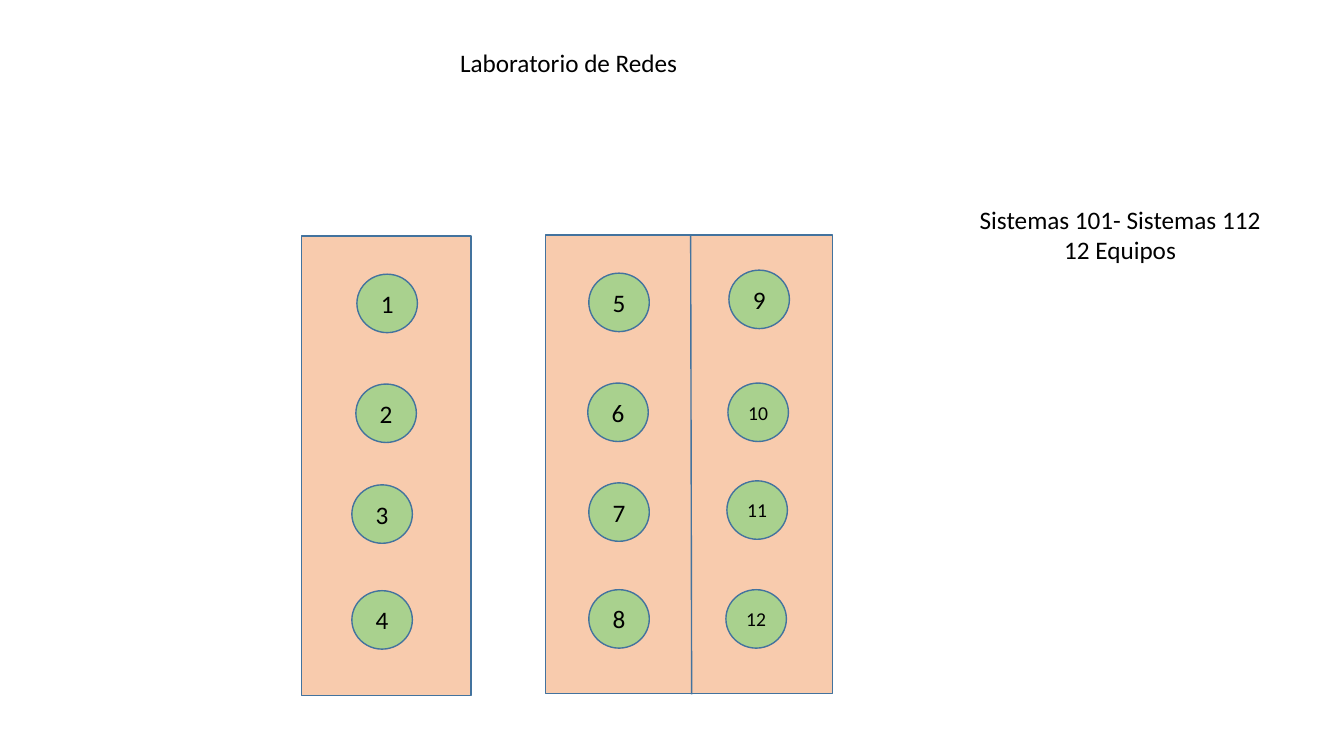
from pptx import Presentation
from pptx.dml.color import RGBColor
from pptx.enum import shapes, text
from pptx.oxml.ns import qn
from pptx.util import Inches, Pt
from lxml import etree

TITLE = "Laboratorio de Redes"
SUMMARY = ["Sistemas 101- Sistemas 112", "12 Equipos"]

# Left, top, width, height of each table in the room
TABLES = [(2.99, 2.34, 1.68, 4.56), (5.41, 2.33, 2.85, 4.55)]
DIVIDER = (6.85, 2.34, 6.86, 6.89)

# Left and top of each computer, numbered in order, one row per column of seats
SEATS = [
    [(3.54, 2.72), (3.53, 3.81), (3.49, 4.81), (3.49, 5.86)],
    [(5.84, 2.71), (5.83, 3.8), (5.84, 4.79), (5.84, 5.85)],
    [(7.23, 2.68), (7.22, 3.8), (7.21, 4.77), (7.2, 5.85)],
]
SEAT_SIZE = (0.6, 0.58)

TABLE_FILL, SEAT_FILL, OUTLINE, INK = "F8CBAD", "A9D18E", "43739E", "000000"


def color(value):
    return RGBColor.from_string(value)


def set_outline(line):
    line.color.rgb = color(OUTLINE)
    line.width = Pt(1)


def add_block(slide, kind, box, fill):
    shape = slide.shapes.add_shape(kind, *map(Inches, box))
    shape.shadow.inherit = False
    shape.fill.solid()
    shape.fill.fore_color.rgb = color(fill)
    set_outline(shape.line)
    return shape


def write(frame, lines, size=18, anchor=text.MSO_ANCHOR.TOP, wrap=True):
    frame.word_wrap = wrap
    frame.auto_size = text.MSO_AUTO_SIZE.NONE
    frame.vertical_anchor = anchor
    frame.text = "\n".join(lines)
    for paragraph in frame.paragraphs:
        paragraph.alignment = text.PP_ALIGN.CENTER
        paragraph.font.name = "Calibri"
        paragraph.font.size = Pt(size)
        paragraph.font.color.rgb = color(INK)


def main():
    presentation = Presentation()
    presentation.slide_width = Inches(13.33)
    presentation.slide_height = Inches(7.5)
    slide = presentation.slides.add_slide(presentation.slide_layouts[5])

    # Title
    title = slide.shapes.title
    title.left, title.top = Inches(4.14), Inches(0.42)
    title.width, title.height = Inches(3), Inches(0.4)
    write(title.text_frame, [TITLE])

    # Tables and the divider of the double one
    for box in TABLES:
        add_block(slide, shapes.MSO_SHAPE.RECTANGLE, box, TABLE_FILL)
    divider = slide.shapes.add_connector(
        shapes.MSO_CONNECTOR.STRAIGHT, *map(Inches, DIVIDER))
    set_outline(divider.line)
    etree.SubElement(divider._element.spPr, qn("a:effectLst"))

    # Numbered computers
    positions = [position for column in SEATS for position in column]
    for number, position in enumerate(positions, start=1):
        seat = add_block(slide, shapes.MSO_SHAPE.OVAL, position + SEAT_SIZE, SEAT_FILL)
        write(seat.text_frame, [str(number)], size=18 if number < 10 else 14,
              anchor=text.MSO_ANCHOR.MIDDLE, wrap=False)

    # Summary
    summary = slide.shapes.add_textbox(*map(Inches, (9.61, 1.98, 3, 0.71)))
    write(summary.text_frame, SUMMARY)

    presentation.save("out.pptx")


if __name__ == "__main__":
    main()
